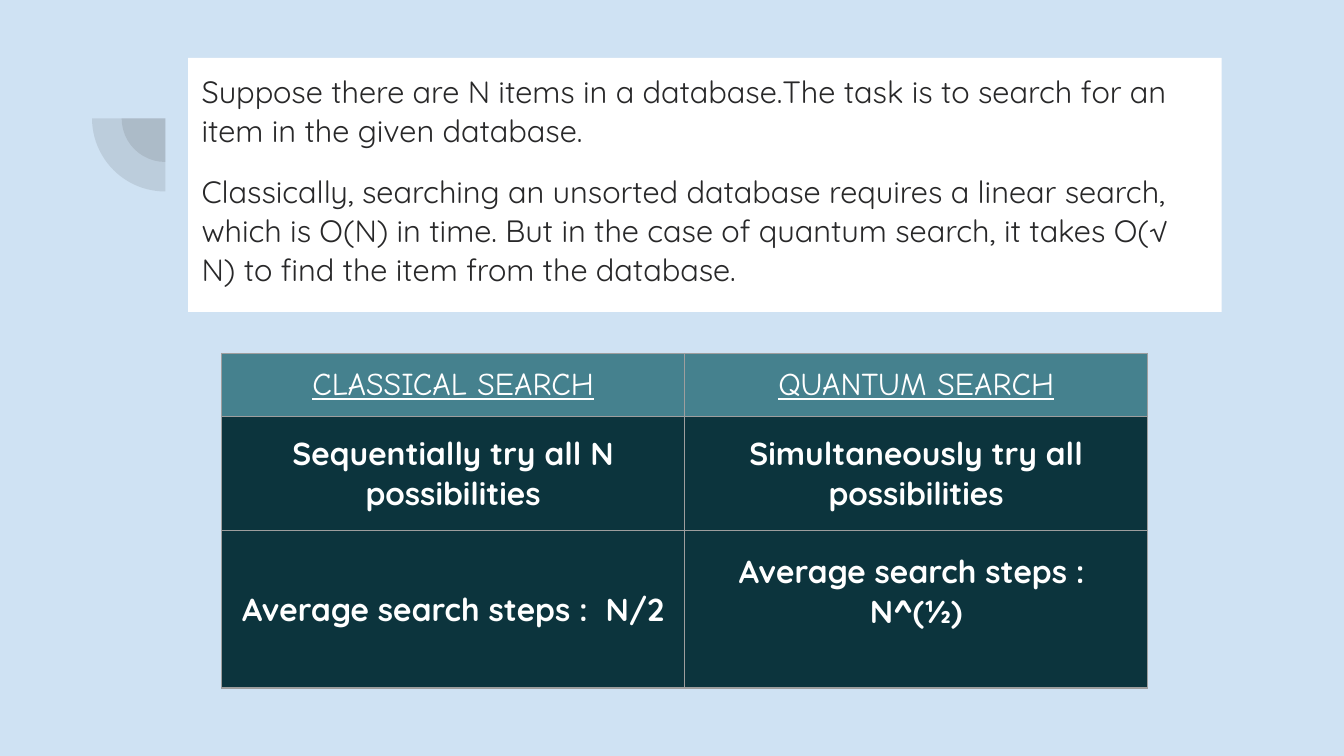
from lxml import etree
from pptx import Presentation
from pptx import util as u
from pptx.dml.color import RGBColor
from pptx.enum import shapes, text
from pptx.oxml.ns import qn

# Content
EXPLANATION = [
    "Suppose there are N items in a database.The task is to search for an item in the given database.",
    "Classically, searching an unsorted database requires a linear search, which is O(N) in time. "
    "But in the case of quantum search, it takes O(√ N) to find the item from the database.",
]
COMPARISON = [
    ("CLASSICAL SEARCH", "QUANTUM SEARCH"),
    ("Sequentially try all N possibilities", "Simultaneously try all possibilities"),
    ("Average search steps :  N/2", "Average search steps :  N^(½)"),
]

# Style
SKY = RGBColor(0xCF, 0xE2, 0xF3)
WHITE = RGBColor(0xFF, 0xFF, 0xFF)
INK = RGBColor(0x28, 0x28, 0x29)
GREY = RGBColor(0x42, 0x42, 0x42)
TEAL = RGBColor(0x45, 0x81, 0x8E)
DEEP_TEAL = RGBColor(0x0C, 0x34, 0x3D)
BORDER = RGBColor(0x9E, 0x9E, 0x9E)
BODY_FONT, HEADER_FONT = "Quicksand", "Comic Neue"

# Geometry in inches
ARC_CENTER = (1.23, 0.88)
ARC_DIAMETERS = (0.65, 1.09)
TABLE_LEFT, TABLE_TOP, TABLE_WIDTH = 1.65, 2.63, 6.89
ROW_HEIGHTS = (0.47, 0.85, 1.17)


def style_font(font, name, size, color):
    font.name, font.size = name, u.Pt(size)
    font.color.rgb = color


def add_borders(cell):
    properties = cell._tc.get_or_add_tcPr()
    for position, side in enumerate(("a:lnL", "a:lnR", "a:lnT", "a:lnB")):
        line = etree.Element(qn(side), w=str(u.Pt(0.75)))
        fill = etree.SubElement(line, qn("a:solidFill"))
        etree.SubElement(fill, qn("a:srgbClr"), val=str(BORDER))
        properties.insert(position, line)


# Widescreen 16:9 slide
prs = Presentation()
prs.slide_width = u.Inches(10)
prs.slide_height = prs.slide_width * 9 // 16
slide = prs.slides.add_slide(prs.slide_layouts[1])
slide.background.fill.solid()
slide.background.fill.fore_color.rgb = SKY
title = slide.shapes.title
title.element.getparent().remove(title.element)

# Concentric quarter circles
for diameter in ARC_DIAMETERS:
    left, top = (u.Inches(c - diameter / 2) for c in ARC_CENTER)
    arc = slide.shapes.add_shape(shapes.MSO_SHAPE.PIE, left, top,
                                 u.Inches(diameter), u.Inches(diameter))
    arc.adjustments[0], arc.adjustments[1] = 108, 162
    arc.rotation = 270
    arc.shadow.inherit = False
    arc.fill.solid()
    arc.fill.fore_color.rgb = GREY
    arc.line.fill.background()
    tint = arc.element.spPr.find(".//" + qn("a:srgbClr"))
    etree.SubElement(tint, qn("a:alpha"), val="13000")

# Explanation panel, kept in front of the arcs
panel = slide.placeholders[1]
slide.shapes._spTree.append(panel.element)
panel.left, panel.top = u.Inches(1.4), u.Inches(0.43)
panel.width, panel.height = u.Inches(7.69), u.Inches(1.89)
panel.fill.solid()
panel.fill.fore_color.rgb = WHITE
frame = panel.text_frame
frame.word_wrap = True
frame.auto_size = text.MSO_AUTO_SIZE.NONE
frame.vertical_anchor = text.MSO_ANCHOR.TOP
frame.margin_left = frame.margin_right = u.Inches(0.1)
frame.margin_top = frame.margin_bottom = u.Inches(0.1)
for index, sentence in enumerate(EXPLANATION):
    paragraph = frame.add_paragraph() if index else frame.paragraphs[0]
    paragraph.text = sentence
    paragraph.line_spacing = 1.05
    paragraph.space_before = paragraph.space_after = u.Pt(12 * index)
    style_font(paragraph.font, BODY_FONT, 16.5, INK)
    properties = paragraph._p.get_or_add_pPr()
    properties.set("marL", "0")
    properties.set("indent", "0")
    bullet = etree.Element(qn("a:buNone"))
    properties.find(qn("a:defRPr")).addprevious(bullet)

# Comparison table
table = slide.shapes.add_table(
    len(COMPARISON), 2, u.Inches(TABLE_LEFT), u.Inches(TABLE_TOP),
    u.Inches(TABLE_WIDTH), u.Inches(sum(ROW_HEIGHTS))).table
for r, (height, entries) in enumerate(zip(ROW_HEIGHTS, COMPARISON)):
    table.rows[r].height = u.Inches(height)
    is_header = r == 0
    for c, entry in enumerate(entries):
        cell = table.cell(r, c)
        cell.text = entry
        cell.vertical_anchor = text.MSO_ANCHOR.MIDDLE
        cell.fill.solid()
        cell.fill.fore_color.rgb = TEAL if is_header else DEEP_TEAL
        paragraph = cell.text_frame.paragraphs[0]
        paragraph.alignment = text.PP_ALIGN.CENTER
        style_font(paragraph.font, HEADER_FONT if is_header else BODY_FONT, 17, WHITE)
        paragraph.font.underline = is_header
        paragraph.font.bold = not is_header
        add_borders(cell)

# The quantum step count sits higher than centre
table.cell(2, 1).margin_bottom = u.Inches(0.31)

prs.save("out.pptx")
